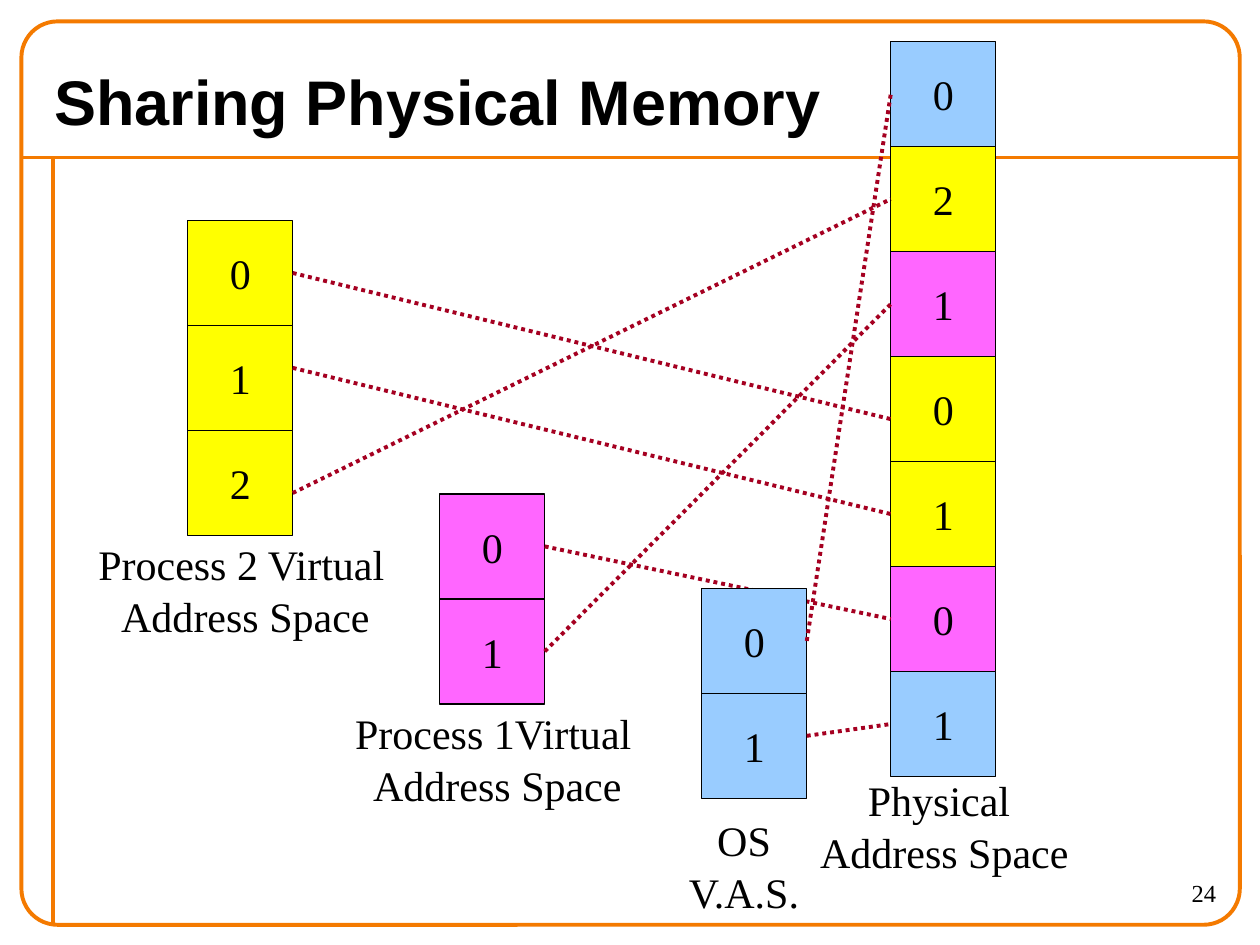
from dataclasses import dataclass

from pptx import Presentation
from pptx.dml.color import RGBColor
from pptx.enum.dml import MSO_LINE_DASH_STYLE as Dash
from pptx.enum.shapes import MSO_CONNECTOR as Conn, MSO_SHAPE as Shape
from pptx.enum.text import MSO_ANCHOR as Anchor, PP_ALIGN as Align
from pptx.oxml.ns import qn
from pptx.util import Inches, Pt

CELL = 5 / 6
ORANGE, RED, BLACK = "F47A00", "A50021", "000000"
YELLOW, PINK, BLUE = "FFFF00", "FF66FF", "99CCFF"
SERIF = {"name": "Times New Roman", "size": Pt(24)}


@dataclass
class Stack:
    left: float
    top: float
    pages: list[tuple[str, str]]  # page number, fill

    def mid(self, row: int) -> float:
        return self.top + (row + 0.5) * CELL


@dataclass
class Label:
    lines: list[str]
    left: float
    top: float
    width: float


@dataclass
class Link:
    """Page to frame; a shift moves an end off the middle of its cell."""
    page: int
    frame: int
    shift: float = 0
    drop: float = 0


PROC2 = Stack(1.49, 1.75, [(n, YELLOW) for n in "012"])
PROC1 = Stack(3.49, 3.92, [(n, PINK) for n in "01"])
SYSTEM = Stack(5.57, 4.67, [(n, BLUE) for n in "01"])
MEMORY = Stack(7.07, 0.33, [("0", BLUE), ("2", YELLOW), ("1", PINK), ("0", YELLOW),
                            ("1", YELLOW), ("0", PINK), ("1", BLUE)])

# The system stack comes last, as it covers a link of process 1.
SPACES = [
    (PROC1, [Link(1, 2), Link(0, 5)]),
    (PROC2, [Link(2, 1, 0.08), Link(1, 4, -0.08), Link(0, 3, 0, 0.08)]),
    (SYSTEM, [Link(1, 6, -0.08), Link(0, 0)]),
]
LABELS = [
    Label(["Process 1Virtual", " Address Space"], 2.71, 5.55, 2.41),
    Label(["Physical ", "Address Space"], 6.41, 6.08, 2.17),
    Label(["Process 2 Virtual", " Address Space"], 0.67, 4.21, 2.49),
    Label(["OS", "V.A.S."], 5.35, 6.4, 1.11),
]


def rgb(code: str) -> RGBColor:
    return RGBColor.from_string(code)


def style(para, look: dict, align=Align.CENTER) -> None:
    para.alignment = align
    for key, value in look.items():
        setattr(para.font, key, value)
    para.font.color.rgb = rgb(BLACK)


def draw_line(slide, start: tuple, end: tuple, color: str):
    line = slide.shapes.add_connector(Conn.STRAIGHT, *map(Inches, start + end))
    line.line.color.rgb = rgb(color)
    line.line.width = Pt(2.25)
    props = line._element.spPr
    props.append(props.makeelement(qn("a:effectLst"), {}))
    return line


def draw_frame(slide) -> None:
    draw_line(slide, (0.17, 1.25), (9.83, 1.25), ORANGE)
    draw_line(slide, (0.42, 1.25), (0.42, 7.33), ORANGE)
    border = slide.shapes.add_shape(Shape.ROUNDED_RECTANGLE,
                                    *map(Inches, (0.17, 0.17, 9.67, 7.17)))
    border.adjustments[0] = 0.04
    border.shadow.inherit = False
    border.fill.background()
    border.line.color.rgb = rgb(ORANGE)
    border.line.width = Pt(2.25)


def draw_stack(slide, stack: Stack) -> list:
    cells = []
    for row, (text, fill) in enumerate(stack.pages):
        top = stack.top + row * CELL
        cell = slide.shapes.add_shape(Shape.RECTANGLE,
                                      *map(Inches, (stack.left, top, CELL, CELL)))
        cell.shadow.inherit = False
        cell.fill.solid()
        cell.fill.fore_color.rgb = rgb(fill)
        cell.line.color.rgb = rgb(BLACK)
        cell.line.width = Pt(0.75)
        frame = cell.text_frame
        frame.word_wrap = False
        frame.vertical_anchor = Anchor.MIDDLE
        frame.text = text
        style(frame.paragraphs[0], SERIF)
        cells.append(cell)
    return cells


def draw_link(slide, stack: Stack, link: Link, pages: list, frames: list) -> None:
    start = (stack.left + CELL, stack.mid(link.page) + link.shift)
    end = (MEMORY.left, MEMORY.mid(link.frame) + link.drop)
    line = draw_line(slide, start, end, RED)
    line.line.dash_style = Dash.ROUND_DOT
    if not link.shift:
        line.begin_connect(pages[link.page], 3)
    if not link.drop:
        line.end_connect(frames[link.frame], 1)


def draw_label(slide, label: Label) -> None:
    box = slide.shapes.add_textbox(
        *map(Inches, (label.left, label.top, label.width, 0.9)))
    box.text_frame.word_wrap = False
    box.text_frame.text = "\n".join(label.lines)
    for para in box.text_frame.paragraphs:
        para.line_spacing = 1.04
        style(para, SERIF)


def main() -> None:
    deck = Presentation()
    deck.slide_width, deck.slide_height = Inches(10), Inches(7.5)
    slide = deck.slides.add_slide(deck.slide_layouts[5])
    draw_frame(slide)

    title = slide.shapes.title
    title.left, title.top, title.width, title.height = map(
        Inches, (0.33, 0.42, 9.33, 0.75))
    title.text_frame.text = "Sharing Physical Memory"
    title.text_frame.vertical_anchor = Anchor.MIDDLE
    style(title.text_frame.paragraphs[0],
          {"name": "Arial", "size": Pt(36), "bold": True}, Align.LEFT)

    number = slide.shapes.add_textbox(*map(Inches, (8.75, 6.92, 1, 0.42)))
    number.text_frame.word_wrap = True
    number.text_frame.text = "24"
    style(number.text_frame.paragraphs[0], SERIF | {"size": Pt(14)}, Align.RIGHT)

    frames = draw_stack(slide, MEMORY)
    for stack, links in SPACES:
        pages = draw_stack(slide, stack)
        for link in links:
            draw_link(slide, stack, link, pages, frames)
    for label in LABELS:
        draw_label(slide, label)
    deck.save("out.pptx")


if __name__ == "__main__":
    main()
